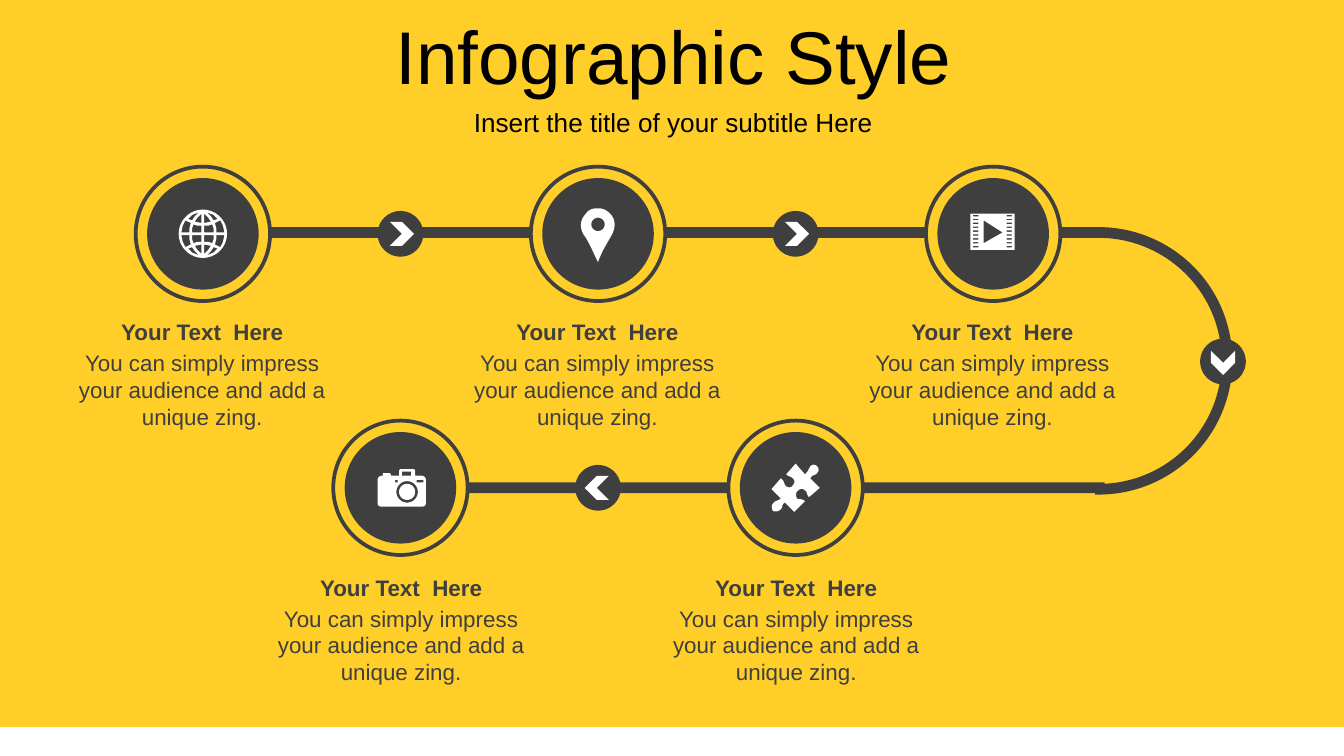
from math import cos, radians, sin

from pptx import Presentation
from pptx.dml.color import RGBColor
from pptx.enum.shapes import MSO_SHAPE as Preset
from pptx.enum.text import MSO_ANCHOR as Anchor, MSO_AUTO_SIZE as AutoSize, PP_ALIGN as Align
from pptx.util import Inches, Pt

COLORS = {"yellow": "FFCE29", "dark": "3F3F3F", "white": "FFFFFF", "black": "000000"}
FONT = "Arial"
FIRST_X, STEP_X = 1.51, 2.94
TOP_Y, BOTTOM_Y = 1.74, 3.63
HEADING = "Your Text  Here"
BODY = "You can simply impress your audience and add a unique zing."


def color(name):
    return RGBColor.from_string(COLORS[name])


def paint(shape, fill, line=None, width=2):
    shape.shadow.inherit = False
    shape.fill.solid()
    shape.fill.fore_color.rgb = color(fill)
    if line:
        shape.line.color.rgb = color(line)
        shape.line.width = Pt(width)
    else:
        shape.line.fill.background()


def add_preset(page, preset, left, top, width, height, fill, line=None):
    shape = page.shapes.add_shape(
        preset, Inches(left), Inches(top), Inches(width), Inches(height))
    paint(shape, fill, line)
    return shape


def add_centered(page, preset, x, y, size, fill, line=None):
    return add_preset(page, preset, x - size / 2, y - size / 2, size, size, fill, line)


def write(box, text, size=12, ink="dark", bold=False, anchor=Anchor.TOP, inset=0.05):
    frame = box.text_frame
    frame.word_wrap = True
    frame.auto_size = AutoSize.NONE
    frame.vertical_anchor = anchor
    frame.margin_left = frame.margin_right = Inches(0.1)
    frame.margin_top = frame.margin_bottom = Inches(inset)
    para = frame.paragraphs[0]
    para.alignment = Align.CENTER
    span = para.add_run()
    span.text = text
    span.font.name, span.font.size, span.font.bold = FONT, Pt(size), bold
    span.font.color.rgb = color(ink)


def add_text(page, left, top, width, height, text, **style):
    box = page.shapes.add_textbox(Inches(left), Inches(top), Inches(width), Inches(height))
    write(box, text, **style)


# Outlines for the icons: lists of points in inches
def circle(x, y, radius):
    return [(x + radius * cos(radians(a)), y + radius * sin(radians(a)))
            for a in range(0, 360, 10)]


def rectangle(left, top, right, bottom):
    return [(left, top), (right, top), (right, bottom), (left, bottom)]


def trace(steps):
    """Turn points (x, y) and cubic curves (x1, y1, x2, y2, x, y) into points."""
    points = []
    for step in steps:
        if len(step) == 2:
            points.append(step)
            continue
        ends = [points[-1], step[:2], step[2:4], step[4:]]
        for t in (i / 8 for i in range(1, 9)):
            weights = ((1 - t) ** 3, 3 * t * (1 - t) ** 2, 3 * t * t * (1 - t), t ** 3)
            points.append(tuple(sum(w * end[axis] for w, end in zip(weights, ends))
                                for axis in (0, 1)))
    return points


def add_icon(page, outlines):
    builder = None
    for outline in outlines:
        start, *rest = [(Inches(x), Inches(y)) for x, y in outline]
        if builder is None:
            builder = page.shapes.build_freeform(*start)
        else:
            builder.move_to(*start)
        builder.add_line_segments(rest, close=True)
    paint(builder.convert_to_shape(), "white")


def globe_outlines(x=1.51, y=1.74):
    quarter = [
        [(0.01, 0.01), (0.01, 0.06), (0.04, 0.06), (0.07, 0.07), (0.08, 0.04), (0.08, 0.01)],
        [(0.1, 0.01), (0.1, 0.04), (0.09, 0.08), (0.13, 0.1), (0.15, 0.06), (0.16, 0.01)],
        [(0.01, 0.08), (0.01, 0.15), (0.04, 0.12), (0.06, 0.09)],
        [(0.08, 0.1), (0.06, 0.13), (0.03, 0.16), (0.08, 0.14), (0.11, 0.11)],
    ]
    cells = [[(x + sx * dx, y + sy * dy) for dx, dy in cell]
             for sx in (-1, 1) for sy in (-1, 1) for cell in quarter]
    return [circle(x, y, 0.18)] + cells


def film_outlines():
    holes = [rectangle(left, top, left + 0.04, top + 0.01)
             for left in (7.24, 7.49) for top in (1.6 + 0.23 * row / 8 for row in range(9))]
    return [rectangle(7.22, 1.59, 7.55, 1.86), [(7.32, 1.64), (7.32, 1.81), (7.46, 1.73)]] + holes


def pin_outlines():
    drop = trace([(4.45, 1.55), (4.48, 1.55, 4.51, 1.56, 4.54, 1.59),
                  (4.59, 1.64, 4.58, 1.71, 4.54, 1.77), (4.5, 1.84, 4.48, 1.87, 4.45, 1.95),
                  (4.41, 1.87, 4.4, 1.84, 4.36, 1.77), (4.31, 1.71, 4.31, 1.64, 4.36, 1.59),
                  (4.38, 1.56, 4.41, 1.55, 4.45, 1.55)])
    return [drop, circle(4.45, 1.67, 0.05)]


def puzzle_outlines():
    return [trace([
        (6.08, 3.47), (6.09, 3.48, 6.1, 3.5, 6.08, 3.52), (6.07, 3.54, 6.04, 3.53, 6.03, 3.56),
        (6.1, 3.63), (6.02, 3.7), (6, 3.68, 6.01, 3.66, 5.99, 3.65),
        (5.97, 3.63, 5.95, 3.64, 5.94, 3.65), (5.92, 3.66, 5.92, 3.69, 5.93, 3.71),
        (5.96, 3.72, 5.97, 3.71, 5.99, 3.73), (5.91, 3.81), (5.84, 3.74),
        (5.81, 3.76, 5.83, 3.77, 5.81, 3.79), (5.79, 3.81, 5.76, 3.81, 5.75, 3.8),
        (5.74, 3.78, 5.74, 3.76, 5.75, 3.75), (5.77, 3.72, 5.79, 3.73, 5.81, 3.71),
        (5.74, 3.64), (5.81, 3.56), (5.84, 3.58, 5.83, 3.6, 5.85, 3.62),
        (5.87, 3.63, 5.89, 3.63, 5.9, 3.61), (5.91, 3.6, 5.92, 3.58, 5.9, 3.56),
        (5.88, 3.54, 5.87, 3.55, 5.85, 3.53), (5.92, 3.45), (5.99, 3.53),
        (6.02, 3.5, 6.01, 3.5, 6.03, 3.47), (6.05, 3.45, 6.07, 3.46, 6.08, 3.47)])]


def camera_outlines():
    body = trace([
        (2.98, 3.49), (3.08, 3.49), (3.09, 3.5), (3.09, 3.54), (3.14, 3.54),
        (3.16, 3.54, 3.17, 3.56, 3.17, 3.57), (3.17, 3.74), (3.17, 3.76, 3.16, 3.77, 3.14, 3.77),
        (2.84, 3.77), (2.82, 3.77, 2.81, 3.76, 2.81, 3.74), (2.81, 3.57),
        (2.81, 3.56, 2.82, 3.54, 2.84, 3.54), (2.85, 3.54), (2.85, 3.52), (2.9, 3.52),
        (2.91, 3.53), (2.91, 3.54), (2.97, 3.54), (2.97, 3.5)])
    return [body, circle(3.03, 3.66, 0.08), circle(3.03, 3.66, 0.06),
            rectangle(2.94, 3.57, 2.96, 3.59), rectangle(3.1, 3.57, 3.15, 3.59),
            rectangle(2.99, 3.51, 3.06, 3.54)]


def add_track(page):
    arc = add_preset(page, Preset.BLOCK_ARC, 7.18, 1.69, 1.99, 1.99, "dark")
    for index, value in enumerate((161.27, 54.9, 0.04)):
        arc.adjustments[index] = value
    add_preset(page, Preset.RECTANGLE, 1.49, 1.69, 6.73, 0.08, "dark")
    add_preset(page, Preset.RECTANGLE, 2.63, 3.59, 5.59, 0.08, "dark")


def add_arrow(page, x, y, angle):
    add_centered(page, Preset.OVAL, x, y, 0.34, "dark")
    turn = radians(angle)
    chevron = add_centered(page, Preset.CHEVRON, x + 0.01 * cos(turn), y + 0.01 * sin(turn),
                           0.18, "white")
    chevron.rotation = angle


def add_stop(page, x, y, outlines, label_left, label_top):
    add_centered(page, Preset.OVAL, x, y, 1, "yellow", line="dark")
    add_centered(page, Preset.OVAL, x, y, 0.83, "dark")
    add_icon(page, outlines)
    add_text(page, label_left, label_top + 0.23, 2.21, 0.71, BODY)
    add_text(page, label_left, label_top, 2.21, 0.3, HEADING, bold=True)


def main():
    deck = Presentation()
    deck.slide_width = Inches(10)
    deck.slide_height = deck.slide_width * 9 // 16
    page = deck.slides.add_slide(deck.slide_layouts[5])
    page.background.fill.solid()
    page.background.fill.fore_color.rgb = color("yellow")
    add_preset(page, Preset.RECTANGLE, 0, 5.41, 10, 0.24, "white")

    # Title and subtitle
    title = page.shapes.title
    title.left, title.top = Inches(0.02), Inches(0.09)
    title.width, title.height = Inches(9.98), Inches(0.64)
    heading_style = {"ink": "black", "anchor": Anchor.MIDDLE, "inset": 0.1}
    write(title, "Infographic Style", size=40, **heading_style)
    add_text(page, 0, 0.74, 10.02, 0.34, "Insert the title of your subtitle Here",
             size=14, **heading_style)

    # Path with its stops; the lower row sits half a step to the right
    add_track(page)
    columns = [FIRST_X + STEP_X * half / 2 for half in range(5)]
    upper_icons = (globe_outlines(), pin_outlines(), film_outlines())
    lower_icons = (camera_outlines(), puzzle_outlines())
    for index, icon in enumerate(upper_icons):
        add_stop(page, columns[2 * index], TOP_Y, icon, 0.4 + STEP_X * index, 2.32)
    for index, icon in enumerate(lower_icons):
        add_stop(page, columns[2 * index + 1], BOTTOM_Y, icon, 1.88 + STEP_X * index, 4.22)

    # Direction arrows
    for x, y, angle in ((columns[1], TOP_Y, 0), (columns[3], TOP_Y, 0),
                        (columns[2], BOTTOM_Y, 180), (9.1, 2.69, 90)):
        add_arrow(page, x, y, angle)

    deck.save("out.pptx")


if __name__ == "__main__":
    main()
